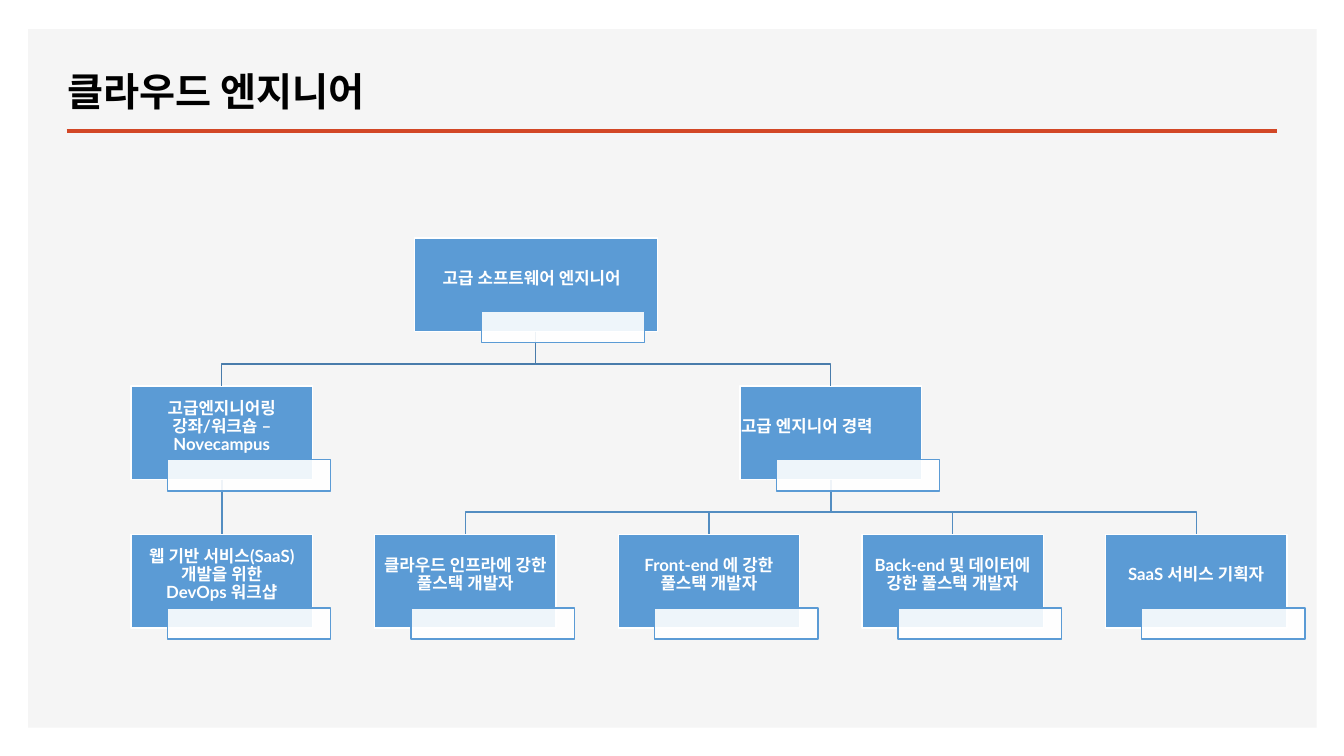
from collections import namedtuple

from lxml.etree import SubElement
from pptx import Presentation
from pptx.dml.color import RGBColor
from pptx.enum.shapes import MSO_CONNECTOR as Connector, MSO_SHAPE as Preset
from pptx.enum.text import MSO_ANCHOR as Anchor, PP_ALIGN as Align
from pptx.oxml.ns import qn
from pptx.util import Inches, Pt

COLORS = {
    "panel": "F5F5F5",
    "rule": "D24726",
    "title": "000000",
    "box": "5B9BD5",
    "white": "FFFFFF",
    "upper_link": "497CAB",
    "lower_link": "538DC1",
}
BOX_FONT = "Lato"
TITLE_FONT = "Noto Sans CJK KR"
HARD_SPACE = chr(160)

FIRST_CENTER, COLUMN_STEP = 0.9, 2.416
ROW_STEP, BOX_HEIGHT = 1.47, 0.93
BOX_WIDTH, ROOT_WIDTH = 1.8, 2.41
LINK_DROP = 0.32

Node = namedtuple("Node", "text column row parent width align right_inset",
                  defaults=(BOX_WIDTH, Align.CENTER, 0.01))

NODES = {
    "root": Node("고급 소프트웨어 엔지니어", 1.289, 0, None, ROOT_WIDTH, right_inset=0.09),
    "course": Node("고급엔지니어링 강좌/워크숍 – Novecampus", 0, 1, "root"),
    "career": Node("고급 엔지니어 경력", 2.5, 1, "root", align=Align.LEFT),
    "devops": Node(f"웹 기반 서비스(SaaS)개발을 위한 DevOps{HARD_SPACE}워크샵", 0, 2, "course"),
    "cloud": Node(f"클라우드 인프라에 강한 풀스택{HARD_SPACE}개발자", 1, 2, "career"),
    "frontend": Node(f"Front-end 에 강한 풀스택{HARD_SPACE}개발자", 2, 2, "career"),
    "backend": Node(f"Back-end 및 데이터에 강한 풀스택{HARD_SPACE}개발자", 3, 2, "career"),
    "planner": Node(f"SaaS 서비스{HARD_SPACE}기획자", 4, 2, "career"),
}


def color(name):
    return RGBColor.from_string(COLORS[name])


def add_run(paragraph, text, size, font, color_name):
    run = paragraph.add_run()
    run.text = text
    run.font.size = Pt(size)
    run.font.bold = True
    run.font.name = font
    run.font.color.rgb = color(color_name)
    SubElement(run.font._element, qn("a:ea"), typeface=font)


def add_rectangle(slide, left, top, width, height, fill, line=None):
    shape = slide.shapes.add_shape(
        Preset.RECTANGLE, Inches(left), Inches(top), Inches(width), Inches(height))
    shape.shadow.inherit = False
    shape.fill.solid()
    shape.fill.fore_color.rgb = color(fill)
    if line:
        shape.line.color.rgb = color(line)
        shape.line.width = Pt(1)
    else:
        shape.line.fill.background()
    return shape


def add_line(slide, start, end, color_name, width):
    line = slide.shapes.add_connector(
        Connector.STRAIGHT, *(Inches(value) for value in start + end))
    line.line.color.rgb = color(color_name)
    line.line.width = Pt(width)
    SubElement(line._element.spPr, qn("a:effectLst"))
    return line


def add_header(slide, left, top, width, height):
    title = slide.shapes.title
    panel = add_rectangle(slide, left, top, width, height, "panel")
    title._element.addprevious(panel._element)
    rule_top = top + 1.01
    add_line(slide, (left + 0.38, rule_top), (left + width - 0.39, rule_top), "rule", 2.25)
    title.left, title.top = Inches(left + 0.29), Inches(top + 0.2)
    title.width, title.height = Inches(7.52), Inches(0.7)
    frame = title.text_frame
    frame.vertical_anchor = Anchor.BOTTOM
    paragraph = frame.paragraphs[0]
    paragraph.alignment = Align.LEFT
    paragraph.line_spacing = 0.9
    add_run(paragraph, "클라우드 엔지니어", 28, TITLE_FONT, "title")


def add_box(slide, node, center, top):
    box = add_rectangle(slide, center - node.width / 2, top, node.width, BOX_HEIGHT,
                        "box", "white")
    frame = box.text_frame
    frame.word_wrap = True
    frame.vertical_anchor = Anchor.MIDDLE
    frame.margin_left = frame.margin_top = Inches(0.01)
    frame.margin_right = Inches(node.right_inset)
    frame.margin_bottom = Inches(0.13)
    paragraph = frame.paragraphs[0]
    paragraph.alignment = node.align
    paragraph.line_spacing = 0.9
    add_run(paragraph, node.text, 12, BOX_FONT, "white")
    return box


def add_elbow(slide, start, end, color_name):
    bend = start[1] + LINK_DROP
    points = [(start[0], bend), (end[0], bend), end]
    builder = slide.shapes.build_freeform(Inches(start[0]), Inches(start[1]))
    builder.add_line_segments(
        [(Inches(x), Inches(y)) for x, y in points], close=False)
    elbow = builder.convert_to_shape()
    elbow.shadow.inherit = False
    elbow.fill.background()
    elbow.line.color.rgb = color(color_name)
    elbow.line.width = Pt(1)


def add_tag(slide, center, box_top):
    tag = add_rectangle(slide, center - 0.54, box_top + 0.73, 1.62, 0.31, "white", "box")
    fill_color = tag._element.spPr.find(qn("a:solidFill"))[0]
    SubElement(fill_color, qn("a:alpha"), val="90000")


def add_organization(slide, left, top):
    spots = {
        name: (left + FIRST_CENTER + node.column * COLUMN_STEP, top + node.row * ROW_STEP)
        for name, node in NODES.items()
    }
    boxes = {name: add_box(slide, node, *spots[name]) for name, node in NODES.items()}
    for name, node in NODES.items():
        if node.parent is None:
            continue
        parent_center, parent_top = spots[node.parent]
        start, end = (parent_center, parent_top + BOX_HEIGHT), spots[name]
        link_color = "upper_link" if node.row == 1 else "lower_link"
        if start[0] == end[0]:
            link = add_line(slide, start, end, link_color, 1)
            link.begin_connect(boxes[node.parent], 2)
            link.end_connect(boxes[name], 0)
        else:
            add_elbow(slide, start, end, link_color)
    for spot in spots.values():
        add_tag(slide, *spot)


def main():
    presentation = Presentation()
    presentation.slide_width = Inches(13.33)
    presentation.slide_height = Inches(7.5)
    slide = presentation.slides.add_slide(presentation.slide_layouts[5])
    add_header(slide, 0.28, 0.29, 12.78, 6.93)
    add_organization(slide, 1.3, 2.36)
    presentation.save("out.pptx")


if __name__ == "__main__":
    main()
